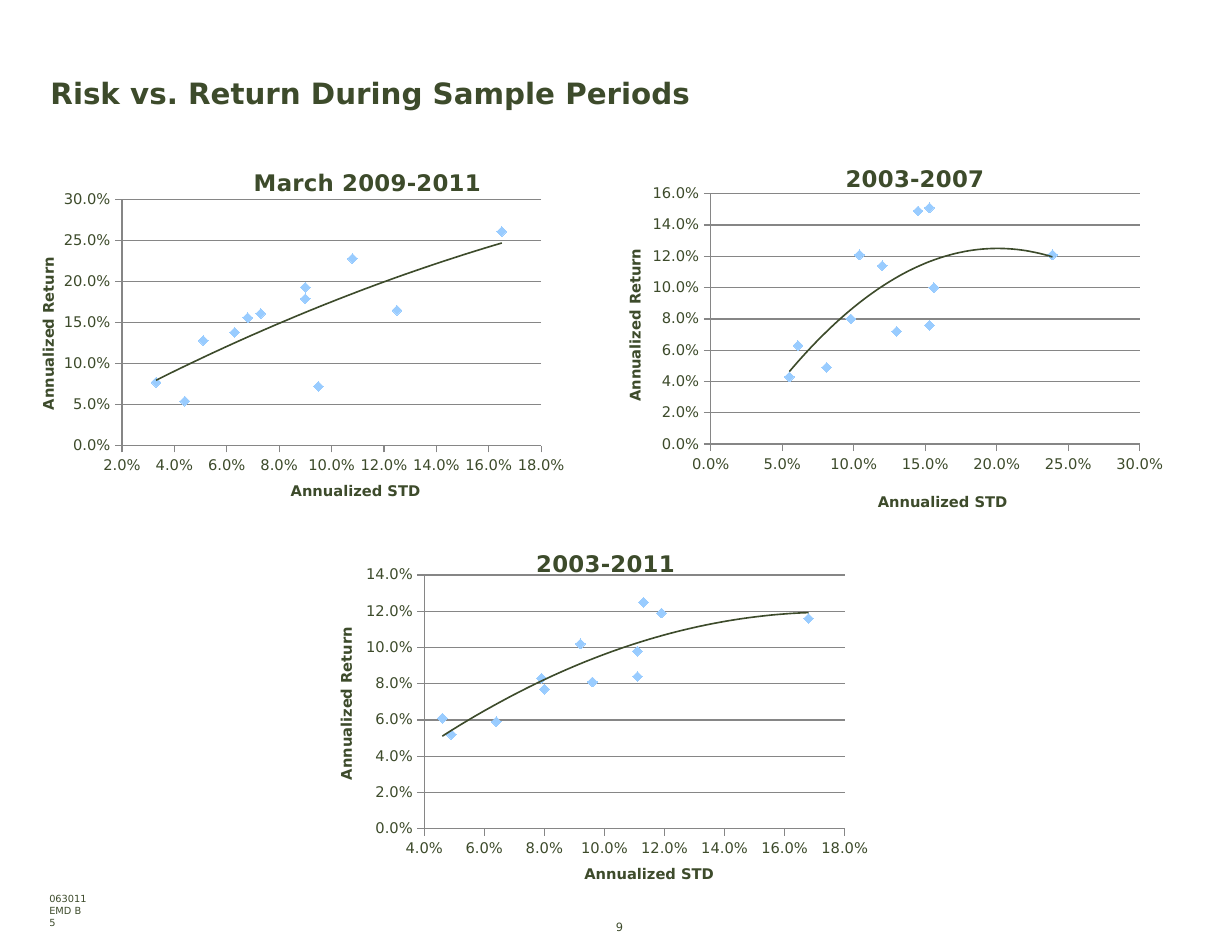
from dataclasses import dataclass

from lxml.etree import SubElement
from pptx import Presentation
from pptx.chart.data import XyChartData
from pptx.dml.color import RGBColor
from pptx.enum.chart import XL_AXIS_CROSSES, XL_CHART_TYPE, XL_MARKER_STYLE, XL_TICK_MARK
from pptx.enum.text import MSO_ANCHOR, PP_ALIGN
from pptx.oxml import parse_xml
from pptx.oxml.ns import nsdecls, qn
from pptx.util import Inches, Pt


@dataclass(frozen=True)
class Theme:
    font: str = "DejaVu Sans"
    text: RGBColor = RGBColor(0x3D, 0x4B, 0x2B)
    marker: RGBColor = RGBColor(0x99, 0xCC, 0xFF)
    grid: RGBColor = RGBColor(0x86, 0x86, 0x86)
    title: int = 18
    chart_title: int = 14
    axis: int = 9
    number: int = 7
    code: int = 6


THEME = Theme()

# Positions inside a chart are fractions of its width and height.
CHARTS = [
    dict(title="March 2009-2011", box=(0.26, 1.36, 4.67, 2.99),
         plot=(0.167, 0.114, 0.765, 0.701),
         titles=[(0.4, 0.01), (0.47, 0.91), (0.01, 0.27)],
         x_scale=(0.02, 0.18, 0.02), y_scale=(0, 0.3, 0.05),
         points=[(0.125, 0.165), (0.033, 0.077), (0.073, 0.161), (0.095, 0.072),
                 (0.044, 0.054), (0.09, 0.193), (0.063, 0.138), (0.108, 0.228),
                 (0.051, 0.128), (0.09, 0.179), (0.068, 0.156), (0.165, 0.261)]),
    dict(title="2003-2007", box=(5.26, 1.32, 4.78, 3.1),
         plot=(0.167, 0.107, 0.765, 0.688),
         titles=[(0.4, 0.01), (0.46, 0.92), (0.01, 0.25)],
         x_scale=(0, 0.3, 0.05), y_scale=(0, 0.16, 0.02),
         points=[(0.153, 0.151), (0.061, 0.063), (0.12, 0.114), (0.104, 0.121),
                 (0.055, 0.043), (0.145, 0.149), (0.098, 0.08), (0.156, 0.1),
                 (0.081, 0.049), (0.153, 0.076), (0.13, 0.072), (0.239, 0.121)]),
    dict(title="2003-2011", box=(2.8, 4.48, 4.69, 3.11),
         plot=(0.174, 0.135, 0.764, 0.695),
         titles=[(0.37, 0.05), (0.46, 0.92), (0.01, 0.27)],
         x_scale=(0.04, 0.18, 0.02), y_scale=(0, 0.14, 0.02),
         points=[(0.119, 0.119), (0.046, 0.061), (0.092, 0.102), (0.08, 0.077),
                 (0.049, 0.052), (0.113, 0.125), (0.079, 0.083), (0.111, 0.098),
                 (0.064, 0.059), (0.111, 0.084), (0.096, 0.081), (0.168, 0.116)]),
]


def style_font(font, size, bold=False):
    font.name, font.size, font.bold = THEME.font, Pt(size), bold
    font.color.rgb = THEME.text


def clear_margins(tf):
    tf.margin_left = tf.margin_right = tf.margin_top = tf.margin_bottom = 0


def add_title(slide, text):
    sp = slide.shapes.title
    sp.left, sp.top, sp.width, sp.height = map(Inches, (0.43, 0.3, 9.75, 0.64))
    tf = sp.text_frame
    clear_margins(tf)
    tf.margin_right = Inches(0.11)
    tf.vertical_anchor = MSO_ANCHOR.BOTTOM
    tf.text = text
    p = tf.paragraphs[0]
    p.alignment = PP_ALIGN.LEFT
    style_font(p.font, THEME.title, bold=True)


def add_label(slide, text, box, size, align, anchor):
    tf = slide.shapes.add_textbox(*map(Inches, box)).text_frame
    clear_margins(tf)
    tf.word_wrap = False
    tf.vertical_anchor = anchor
    tf.text = text
    p = tf.paragraphs[0]
    p.alignment = align
    style_font(p.font, size)


def set_layout(parent, index, values, inner=False):
    """Give a chart part a fixed place, as fractions of the chart."""
    for old in parent.findall(qn("c:layout")):
        parent.remove(old)
    layout = parse_xml(f"<c:layout {nsdecls('c')}><c:manualLayout/></c:layout>")
    manual = layout[0]
    if inner:
        SubElement(manual, qn("c:layoutTarget")).set("val", "inner")
    for tag in ("xMode", "yMode"):
        SubElement(manual, qn(f"c:{tag}")).set("val", "edge")
    for tag, value in zip("xywh", values):
        SubElement(manual, qn(f"c:{tag}")).set("val", str(value))
    parent.insert(index, layout)


def set_heading(tf, text, size):
    tf.text = text
    style_font(tf.paragraphs[0].font, size, bold=True)


def style_axis(axis, title, scale):
    axis.minimum_scale, axis.maximum_scale, axis.major_unit = scale
    axis.crosses = XL_AXIS_CROSSES.MINIMUM
    axis.major_tick_mark = XL_TICK_MARK.OUTSIDE
    axis.minor_tick_mark = XL_TICK_MARK.NONE
    axis.tick_labels.number_format = "0.0%"
    axis.tick_labels.number_format_is_linked = False
    style_font(axis.tick_labels.font, THEME.axis)
    axis.format.line.color.rgb = THEME.grid
    axis.format.line.width = Pt(0.75)
    set_heading(axis.axis_title.text_frame, title, THEME.axis)


def add_trendline(series_xml):
    trend = parse_xml(
        f'<c:trendline {nsdecls("c", "a")}><c:spPr><a:ln w="{Pt(1)}"><a:solidFill>'
        f'<a:srgbClr val="{THEME.text}"/></a:solidFill></a:ln></c:spPr>'
        '<c:trendlineType val="poly"/><c:order val="2"/>'
        '<c:dispRSqr val="0"/><c:dispEq val="0"/></c:trendline>')
    series_xml.find(qn("c:xVal")).addprevious(trend)


def add_scatter(slide, title, box, plot, titles, x_scale, y_scale, points):
    data = XyChartData(number_format="0.0%")
    series_data = data.add_series("Series 1")
    for x, y in points:
        series_data.add_data_point(x, y)
    chart = slide.shapes.add_chart(
        XL_CHART_TYPE.XY_SCATTER, *map(Inches, box), data).chart
    chart.has_legend = False
    style_font(chart.font, THEME.axis)
    chart.plots[0].vary_by_categories = False
    set_heading(chart.chart_title.text_frame, title, THEME.chart_title)

    x_axis, y_axis = chart.category_axis, chart.value_axis
    style_axis(x_axis, "Annualized STD", x_scale)
    style_axis(y_axis, "Annualized Return", y_scale)
    x_axis.has_major_gridlines = False
    y_axis.has_major_gridlines = True
    y_axis.major_gridlines.format.line.color.rgb = THEME.grid
    y_axis.major_gridlines.format.line.width = Pt(0.75)

    series = chart.plots[0].series[0]
    series.smooth = False
    series.format.line.fill.background()
    series.marker.style = XL_MARKER_STYLE.DIAMOND
    series.marker.size = 6
    series.marker.format.fill.solid()
    series.marker.format.fill.fore_color.rgb = THEME.marker
    series.marker.format.line.color.rgb = THEME.marker
    add_trendline(series._element)

    chart_xml = chart._chartSpace
    set_layout(next(chart_xml.iter(qn("c:plotArea"))), 0, plot, inner=True)
    for heading, place in zip(list(chart_xml.iter(qn("c:title"))), titles):
        set_layout(heading, 1, place)


def main():
    prs = Presentation()
    prs.slide_width, prs.slide_height = Inches(10.5), Inches(8)
    slide = prs.slides.add_slide(prs.slide_layouts[5])
    add_title(slide, "Risk vs. Return During Sample Periods")
    add_label(slide, "9", (5.14, 7.84, 0.17, 0.12), THEME.number,
              PP_ALIGN.RIGHT, MSO_ANCHOR.TOP)
    add_label(slide, "063011 EMD B 5", (0.42, 7.81, 0.32, 0.1), THEME.code,
              PP_ALIGN.LEFT, MSO_ANCHOR.BOTTOM)
    for chart in CHARTS:
        add_scatter(slide, **chart)
    prs.save("out.pptx")


if __name__ == "__main__":
    main()
